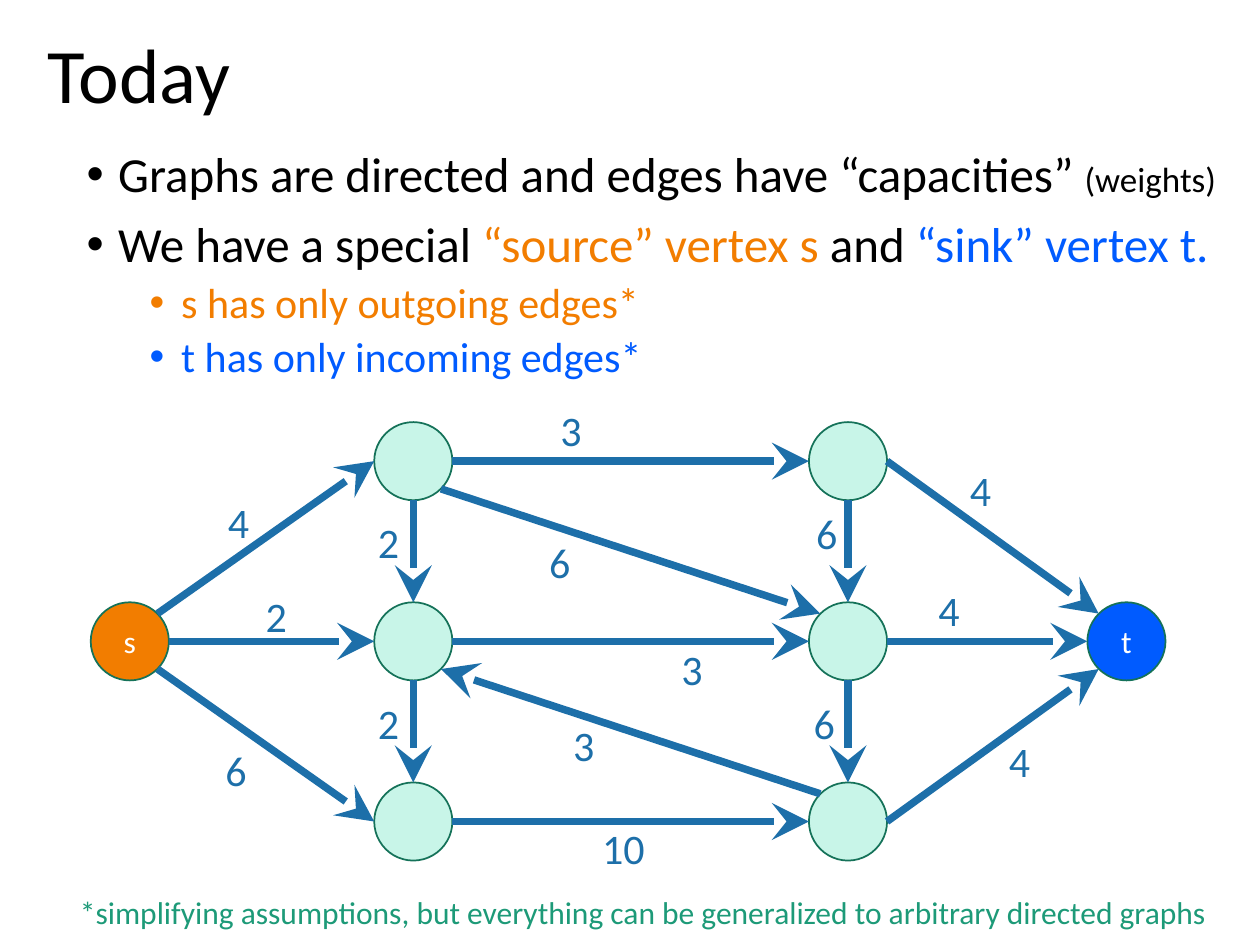
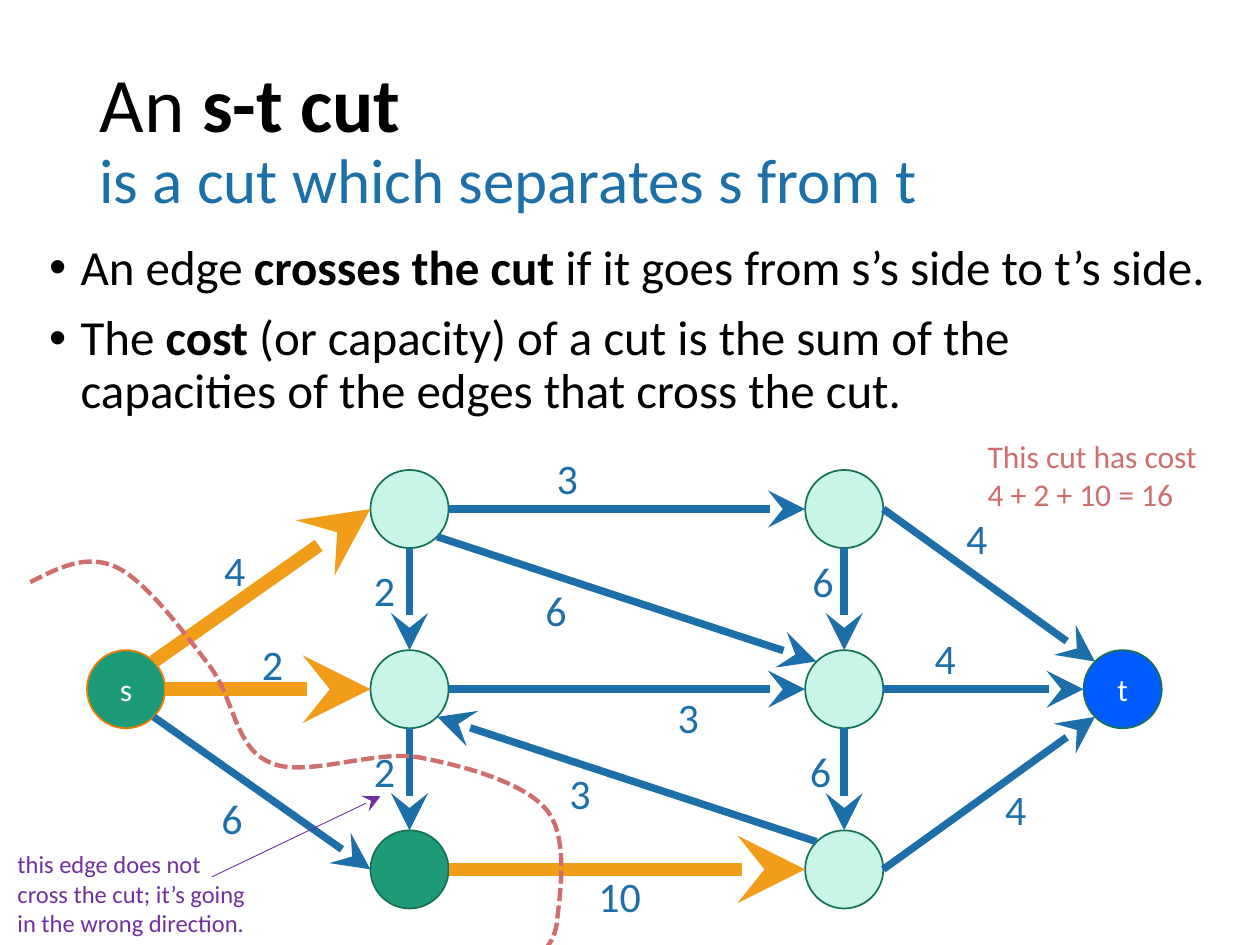
from dataclasses import dataclass

from lxml import etree
from pptx import Presentation
from pptx import util as u
from pptx.dml.color import RGBColor
from pptx.enum import dml, shapes, text
from pptx.oxml.ns import qn


@dataclass(frozen=True)
class Theme:
    font: str = "Calibri"
    black: str = "000000"
    white: str = "FFFFFF"
    blue: str = "1D6FA9"
    source: str = "F27D00"
    sink: str = "005BFF"
    green: str = "1D9A78"
    node: str = "C8F5E8"
    outline: str = "157259"
    crossing: str = "F19D19"
    cut: str = "CF6E6C"
    purple: str = "7030A0"
    title: int = 44
    subtitle: int = 36
    body: int = 28
    sub: int = 24
    small: int = 20
    note: int = 18
    remark: int = 14
    edge: float = 4.25
    crossing_edge: float = 7.75


T = Theme()
RADIUS = 0.31
DIAGONAL = 0.22
SITES = {
    "n": (0, -RADIUS), "s": (0, RADIUS), "w": (-RADIUS, 0), "e": (RADIUS, 0),
    "nw": (-DIAGONAL, -DIAGONAL), "ne": (DIAGONAL, -DIAGONAL),
    "sw": (-DIAGONAL, DIAGONAL), "se": (DIAGONAL, DIAGONAL),
}
ROWS = (3.66, 5.09, 6.52)
NODES = {"s": (1.03, ROWS[1]), "t": (8.94, ROWS[1])}
for column, x in (("a", 3.28), ("b", 6.73)):
    for number, y in enumerate(ROWS, 1):
        NODES[f"{column}{number}"] = (x, y)

# start node, site, end node, site, capacity, label left, label top
EDGES = [
    ("s", "se", "a3", "w", 6, 1.69, 5.86),
    ("s", "e", "a2", "w", 2, 2.01, 4.64),
    ("s", "ne", "a1", "w", 4, 1.71, 3.89),
    ("a1", "s", "a2", "n", 2, 2.9, 4.05),
    ("a2", "s", "a3", "n", 2, 2.9, 5.49),
    ("b3", "nw", "a2", "se", 3, 4.45, 5.66),
    ("a1", "se", "b2", "nw", 6, 4.26, 4.21),
    ("a1", "e", "b1", "w", 3, 4.35, 3.16),
    ("a2", "e", "b2", "w", 3, 5.31, 5.06),
    ("a3", "e", "b3", "w", 10, 4.68, 6.48),
    ("b1", "s", "b2", "n", 6, 6.38, 3.98),
    ("b2", "s", "b3", "n", 6, 6.36, 5.49),
    ("b1", "e", "t", "nw", 4, 7.6, 3.64),
    ("b2", "e", "t", "w", 4, 7.35, 4.59),
    ("b3", "e", "t", "sw", 4, 7.91, 5.79),
]

CUT_START = (0.24, 4.62)
# two control points and the end point of each Bézier piece
CUT_CURVES = [
    ((0.46, 4.51), (0.68, 4.39), (0.92, 4.5)),
    ((1.16, 4.61), (1.46, 5.02), (1.66, 5.28)),
    ((1.86, 5.54), (1.86, 5.93), (2.14, 6.05)),
    ((2.41, 6.18), (2.96, 5.95), (3.32, 6.01)),
    ((3.69, 6.08), (4.16, 6.21), (4.34, 6.43)),
    ((4.52, 6.65), (4.44, 7.12), (4.42, 7.32)),
    ((4.4, 7.53), (4.2, 7.65), (4.2, 7.65)),
]


def assign(obj, **values):
    for name, value in values.items():
        setattr(obj, name, value)


def rgb(color):
    return RGBColor.from_string(color)


def place(sp, left, top, width, height):
    assign(sp, left=u.Inches(left), top=u.Inches(top),
           width=u.Inches(width), height=u.Inches(height))


def add_run(p, content, size, color=T.black, bold=False):
    r = p.add_run()
    r.text = content
    assign(r.font, name=T.font, size=u.Pt(size), bold=bold)
    r.font.color.rgb = rgb(color)


def set_line(line, color, width):
    line.color.rgb = rgb(color)
    line.width = u.Pt(width)


def add_title(s, left, top, lines):
    """Each line is a list of runs given as add_run arguments."""
    sp = s.shapes.title
    place(sp, left, top, 8.62, 1.45)
    tf = sp.text_frame
    assign(tf, vertical_anchor=text.MSO_ANCHOR.MIDDLE, word_wrap=True,
           auto_size=text.MSO_AUTO_SIZE.NONE)
    p = tf.paragraphs[0]
    assign(p, alignment=text.PP_ALIGN.LEFT, line_spacing=0.9)
    for i, runs in enumerate(lines):
        if i:
            p.add_line_break()
        for run in runs:
            add_run(p, *run)


def add_bullets(sp, items):
    """Each item is a level and a list of runs given as add_run arguments."""
    tf = sp.text_frame
    assign(tf, word_wrap=True, auto_size=text.MSO_AUTO_SIZE.NONE,
           vertical_anchor=text.MSO_ANCHOR.TOP)
    for i, (level, runs) in enumerate(items):
        p = tf.add_paragraph() if i else tf.paragraphs[0]
        pPr = p._p.get_or_add_pPr()
        pPr.set("marL", str(u.Inches(0.25 + 0.5 * level)))
        pPr.set("indent", str(u.Inches(-0.25)))
        etree.SubElement(pPr, qn("a:buFont")).set("typeface", "Arial")
        etree.SubElement(pPr, qn("a:buChar")).set("char", "•")
        before = (5 if level else 10) if i else 0
        assign(p, level=level, line_spacing=0.9, space_before=u.Pt(before),
               alignment=text.PP_ALIGN.LEFT)
        for run in runs:
            add_run(p, *run)


def add_text(parent, box, lines, size, color, align=text.PP_ALIGN.LEFT):
    tf = parent.add_textbox(*map(u.Inches, box)).text_frame
    assign(tf, word_wrap=True, auto_size=text.MSO_AUTO_SIZE.SHAPE_TO_FIT_TEXT)
    for i, line in enumerate(lines):
        p = tf.add_paragraph() if i else tf.paragraphs[0]
        p.alignment = align
        add_run(p, line, size, color)


def add_arrow(parent, start, end, color, width):
    cx = parent.add_connector(shapes.MSO_CONNECTOR.STRAIGHT,
                              *map(u.Inches, (*start, *end)))
    set_line(cx.line, color, width)
    tail = etree.SubElement(cx.line._get_or_add_ln(), qn("a:tailEnd"))
    for name, value in {"type": "stealth", "w": "lg", "len": "lg"}.items():
        tail.set(name, value)
    etree.SubElement(cx._element.spPr, qn("a:effectLst"))


def add_node(parent, center, label, fill, outline):
    x, y = center
    box = (x - RADIUS, y - RADIUS, 2 * RADIUS, 2 * RADIUS)
    sp = parent.add_shape(shapes.MSO_SHAPE.OVAL, *map(u.Inches, box))
    sp.shadow.inherit = False
    sp.fill.solid()
    sp.fill.fore_color.rgb = rgb(fill)
    set_line(sp.line, outline, 1)
    if label:
        sp.text_frame.vertical_anchor = text.MSO_ANCHOR.MIDDLE
        p = sp.text_frame.paragraphs[0]
        p.alignment = text.PP_ALIGN.CENTER
        add_run(p, label, T.note, T.white)


def add_network(s, dx=0, dy=0, fills=None, outlines=None, crossing=()):
    """Draw the flow network, shifted, with the crossing edges highlighted."""
    fills = {"s": T.source, "t": T.sink, **(fills or {})}
    outlines = outlines or {}
    group = s.shapes.add_group_shape().shapes
    centers = {n: (x + dx, y + dy) for n, (x, y) in NODES.items()}
    for name, center in centers.items():
        add_node(group, center, name if name in "st" else "",
                 fills.get(name, T.node), outlines.get(name, T.outline))

    def site(name, side):
        return [c + d for c, d in zip(centers[name], SITES[side])]

    for a, a_side, b, b_side, *_ in EDGES:
        style = ((T.crossing, T.crossing_edge) if (a, b) in crossing
                 else (T.blue, T.edge))
        add_arrow(group, site(a, a_side), site(b, b_side), *style)
    for *_, capacity, left, top in EDGES:
        add_text(group, (left + dx, top + dy, 0.66, 0.5), [str(capacity)],
                 T.sub, T.blue)


def add_cut(s):
    """Lay straight pieces through the end points, then bend each one."""
    def emu(point):
        return tuple(map(u.Inches, point))

    builder = s.shapes.build_freeform(*emu(CUT_START))
    builder.add_line_segments([emu(c[-1]) for c in CUT_CURVES], close=False)
    sp = builder.convert_to_shape()
    pieces = list(sp._element.iter(qn("a:lnTo")))
    for piece, curve in zip(pieces, CUT_CURVES):
        bend = etree.Element(qn("a:cubicBezTo"))
        for x, y in map(emu, curve):
            pt = etree.SubElement(bend, qn("a:pt"))
            pt.set("x", str(x - sp.left))
            pt.set("y", str(y - sp.top))
        piece.getparent().replace(piece, bend)
    sp.shadow.inherit = False
    sp.fill.background()
    set_line(sp.line, T.cut, 2.5)
    sp.line.dash_style = dml.MSO_LINE.SQUARE_DOT


def build_today(prs):
    s = prs.slides.add_slide(prs.slide_layouts.get_by_name("Title Only"))
    add_title(s, 0.28, -0.1, [[("Today", T.title)]])
    body = s.shapes.add_textbox(*map(u.Inches, (0.59, 1.14, 9.43, 4.76)))
    add_bullets(body, [
        (0, [("Graphs are directed and edges have “capacities” ", T.body),
             ("(weights)", T.small)]),
        (0, [("We have a special ", T.body),
             ("“source” vertex s ", T.body, T.source),
             ("and ", T.body),
             ("“sink” vertex t.", T.body, T.sink)]),
        (1, [("s has only outgoing edges*", T.sub, T.source)]),
        (1, [("t has only incoming edges*", T.sub, T.sink)]),
    ])
    add_network(s)
    add_text(s.shapes, (0.51, 7.04, 9.19, 0.4),
             ["*simplifying assumptions, but everything can be generalized "
              "to arbitrary directed graphs"],
             T.note, T.green, text.PP_ALIGN.CENTER)


def build_st_cut(prs):
    s = prs.slides.add_slide(prs.slide_layouts.get_by_name("Title and Content"))
    add_title(s, 0.69, 0.4, [
        [("An ", T.title), ("s-t cut ", T.title, T.black, True)],
        [("is a cut which separates s from t", T.subtitle, T.blue)],
    ])
    body = s.placeholders[1]
    place(body, 0.29, 1.88, 9.46, 4.76)
    add_bullets(body, [
        (0, [("An edge ", T.body),
             ("crosses the cut ", T.body, T.black, True),
             ("if it goes from s’s side to t’s side.", T.body)]),
        (0, [("The ", T.body),
             ("cost ", T.body, T.black, True),
             ("(or capacity) of a cut is the sum of the capacities of the "
              "edges that cross the cut.", T.body)]),
    ])
    add_network(s, -0.03, 0.38, fills={"s": T.green, "a3": T.green},
                outlines={"s": T.source},
                crossing={("s", "a1"), ("s", "a2"), ("a3", "b3")})
    add_cut(s)
    add_text(s.shapes, (0.04, 6.69, 2.07, 0.81),
             ["this edge does not cross the cut; it’s going in the wrong "
              "direction."], T.remark, T.purple)
    add_arrow(s.shapes, (1.68, 6.96), (3.02, 6.32), T.purple, 0.5)
    add_text(s.shapes, (7.74, 3.42, 2.36, 0.71),
             ["This cut has cost", "4 + 2 + 10 = 16"], T.note, T.cut)


def main():
    prs = Presentation()
    assign(prs, slide_width=u.Inches(10), slide_height=u.Inches(7.5))
    build_today(prs)
    build_st_cut(prs)
    prs.save("out.pptx")


if __name__ == "__main__":
    main()
